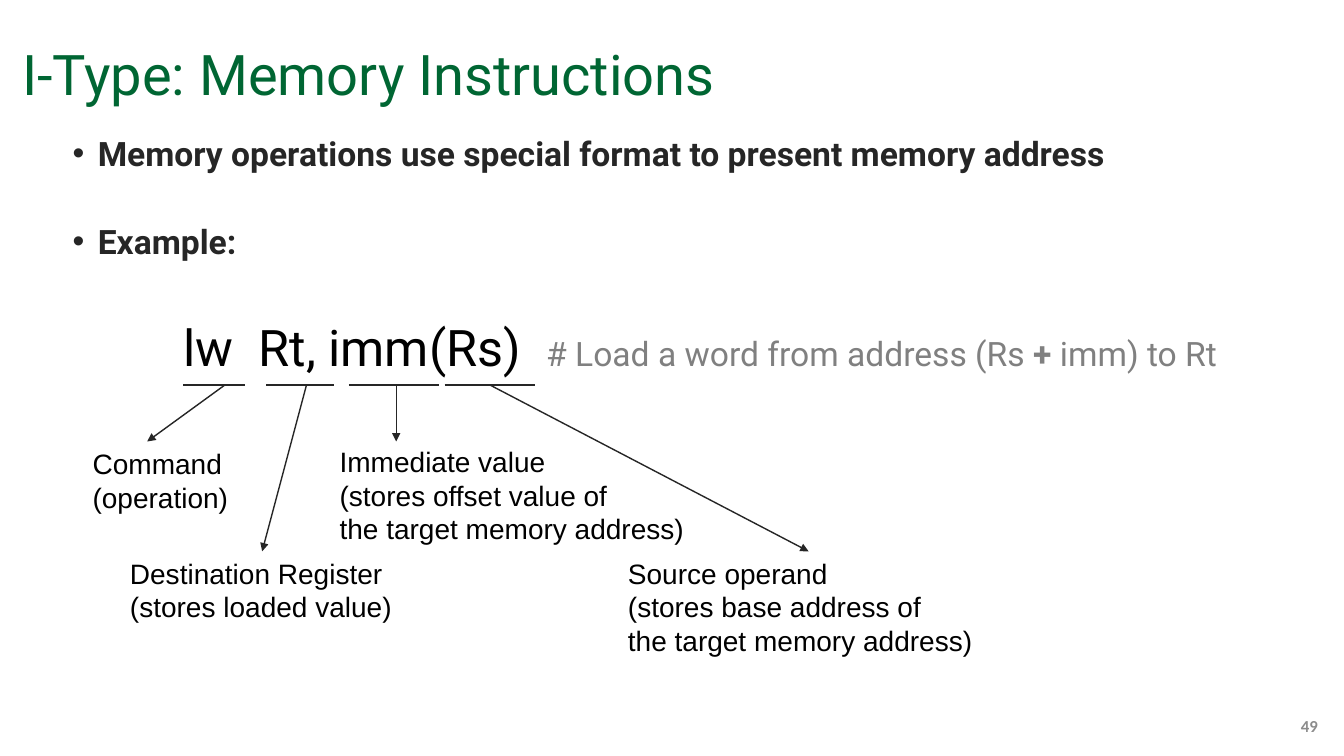
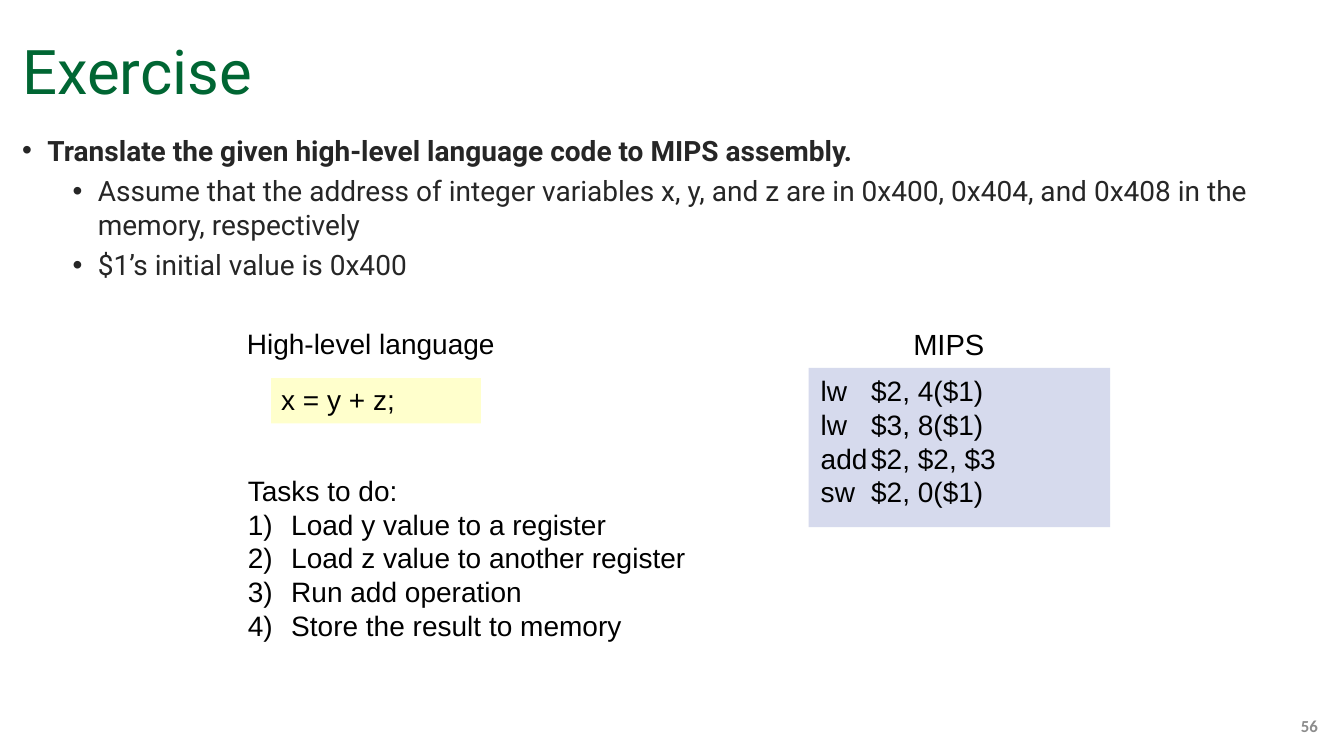
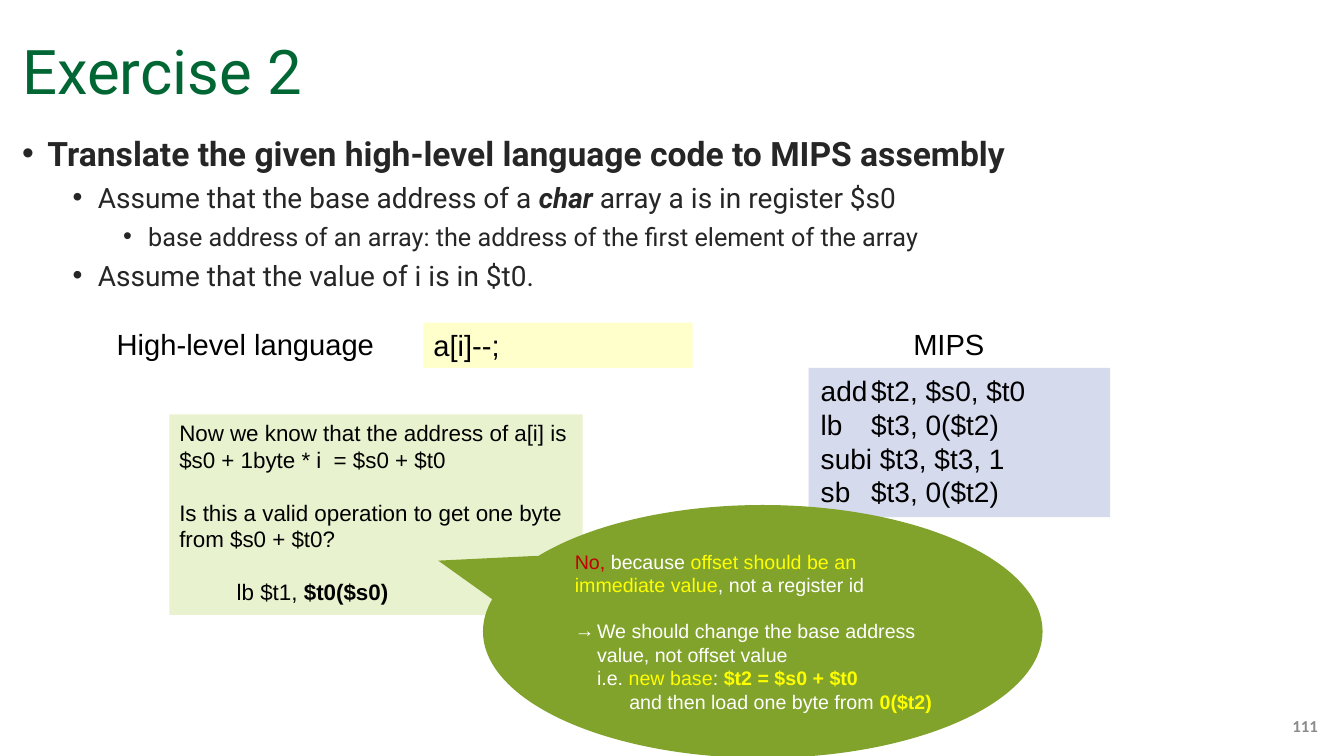
"""Build three lecture slides on MIPS memory instructions."""
from dataclasses import dataclass
from typing import Optional

import lxml.etree
import pptx
import pptx.dml.color
import pptx.enum.shapes
import pptx.enum.text
import pptx.oxml.ns
import pptx.util

qn = pptx.oxml.ns.qn
Shapes = pptx.enum.shapes.MSO_SHAPE
Anchor = pptx.enum.text.MSO_ANCHOR
Align = pptx.enum.text.PP_ALIGN


@dataclass(frozen=True)
class Theme:
    """Colours, fonts, type sizes and grid cell of the deck."""
    title: str = "006633"
    body: str = "262626"
    black: str = "000000"
    white: str = "FFFFFF"
    comment: str = "808080"
    number: str = "8C8C8C"
    source_fill: str = "FFFFCC"
    assembly_fill: str = "D6DAED"
    hint_fill: str = "E8F2CF"
    answer_fill: str = "81A32B"
    accent: str = "FFFF00"
    wrong: str = "C00000"
    heading_font: str = "Roboto"
    label_font: str = "Arial"
    number_font: str = "Calibri"
    huge: float = 44
    title_small: float = 40
    instruction: float = 36
    large: float = 24
    heading: float = 20.8
    normal: float = 20
    small: float = 18
    hint: float = 16
    answer: float = 14
    page: float = 12
    cell: float = 0.1
    tab: float = 0.57


THEME = Theme()


@dataclass(frozen=True)
class Box:
    """Place on the slide in grid columns and rows."""
    col: float
    row: float
    cols: float
    rows: float


@dataclass(frozen=True)
class Style:
    """Type setting that a paragraph or run can carry."""
    size: float = THEME.normal
    color: str = THEME.black
    font: str = THEME.label_font
    bold: bool = False
    italic: bool = False


@dataclass(frozen=True)
class Span:
    """Piece of text with its own style."""
    text: str
    style: Style


@dataclass(frozen=True)
class Para:
    """Paragraph with indents in inches and spacing in points."""
    spans: tuple[Span, ...]
    margin: float = 0
    hanging: float = 0
    before: float = 0
    level: int = 0
    bullet: str = ""
    numbered: bool = False
    tabbed: bool = False
    align: Align = Align.LEFT
    leading: float = 1.0


@dataclass(frozen=True)
class Operand:
    """Underlined part of the instruction with its arrow and label."""
    start: float
    end: float
    arrow_from: float
    arrow_to: float
    arrow_row: float
    label: Box
    lines: tuple[str, ...]


TITLE_BOX = Box(1.2, 1.7, 130.5, 9.5)
BODY_BOX = Box(1.2, 12.7, 130.5, 56.3)
NUMBER_BOX = Box(101.7, 70, 30, 4)
MIPS_BOX = Box(89.6, 31.9, 10, 4.5)
UNDERLINE_ROW = 38.2
UPPER_ROW, LOWER_ROW = 43.8, 54.7

OPERANDS = (
    Operand(18.2, 24.3, 22.3, 14.6, UPPER_ROW, Box(8.2, 43.8, 16, 8),
            ("Command", "(operation)")),
    Operand(26.4, 33.1, 30.4, 26, LOWER_ROW, Box(11.9, LOWER_ROW, 29.1, 8),
            ("Destination Register", "(stores loaded value)")),
    Operand(34.6, 43.5, 39.3, 39.3, UPPER_ROW, Box(32.7, 43.6, 37.7, 11.5),
            ("Immediate value", "(stores offset value of", "the target memory address)")),
    Operand(44.1, 53.1, 48.6, 80.2, LOWER_ROW, Box(61.3, LOWER_ROW, 37.7, 11.5),
            ("Source operand", "(stores base address of", "the target memory address)")),
)


def grid(cells: float) -> pptx.util.Emu:
    """Turn grid cells into a length."""
    return pptx.util.Inches(cells * THEME.cell)


def rgb(color: str) -> pptx.dml.color.RGBColor:
    """Turn a hex string into a colour."""
    return pptx.dml.color.RGBColor.from_string(color)


def edges(box: Box) -> tuple[pptx.util.Emu, ...]:
    """Give left, top, width and height of a box."""
    return grid(box.col), grid(box.row), grid(box.cols), grid(box.rows)


def plain(text: str, style: Style = Style(), **layout) -> Para:
    """Make a paragraph of a single span."""
    return Para((Span(text, style),), **layout)


def item(level: int, *spans: Span, before: Optional[float] = None) -> Para:
    """Make a bulleted body paragraph."""
    gap = (5 if level else 10) if before is None else before
    return Para(spans, 0.25 + 0.5 * level, 0.25, gap, level, "•")


def body_style(size: float, bold: bool = False, italic: bool = False) -> Style:
    """Give the style of body text."""
    return Style(size, THEME.body, THEME.heading_font, bold, italic)


def write_paragraph(paragraph, para: Para) -> None:
    """Set layout, bullet, tab stop and runs of one paragraph."""
    paragraph.level = para.level
    props = paragraph._p.get_or_add_pPr()
    props.set("marL", str(pptx.util.Inches(para.margin)))
    props.set("indent", str(-pptx.util.Inches(para.hanging)))
    if para.numbered:
        lxml.etree.SubElement(props, qn("a:buAutoNum"), type="arabicParenR")
    elif para.bullet:
        lxml.etree.SubElement(props, qn("a:buFont"), typeface=THEME.label_font)
        lxml.etree.SubElement(props, qn("a:buChar"), char=para.bullet)
    else:
        lxml.etree.SubElement(props, qn("a:buNone"))
    if para.tabbed:
        stops = lxml.etree.SubElement(props, qn("a:tabLst"))
        lxml.etree.SubElement(stops, qn("a:tab"), algn="l",
                              pos=str(pptx.util.Inches(THEME.tab)))
    paragraph.alignment = para.align
    paragraph.line_spacing = para.leading
    paragraph.space_before = pptx.util.Pt(para.before)
    paragraph.space_after = pptx.util.Pt(0)
    for span in para.spans:
        run = paragraph.add_run()
        run.text = span.text
        font = run.font
        font.name, font.size = span.style.font, pptx.util.Pt(span.style.size)
        font.bold, font.italic = span.style.bold, span.style.italic
        font.color.rgb = rgb(span.style.color)


def write(frame, paras: list[Para], anchor: Anchor = Anchor.TOP,
          inset: tuple[float, float] = (0.1, 0.05)) -> None:
    """Fill a text frame with paragraphs."""
    frame.word_wrap = True
    frame.auto_size = pptx.enum.text.MSO_AUTO_SIZE.NONE
    frame.vertical_anchor = anchor
    frame.margin_left = frame.margin_right = pptx.util.Inches(inset[0])
    frame.margin_top = frame.margin_bottom = pptx.util.Inches(inset[1])
    for index, para in enumerate(paras):
        paragraph = frame.add_paragraph() if index else frame.paragraphs[0]
        write_paragraph(paragraph, para)
    frame.paragraphs[0].space_before = pptx.util.Pt(0)


def add_label(slide, box: Box, paras: list[Para], anchor: Anchor = Anchor.TOP) -> None:
    """Add a text box."""
    write(slide.shapes.add_textbox(*edges(box)).text_frame, paras, anchor)


def add_panel(slide, box: Box, fill: str, paras: list[Para], kind: Shapes = Shapes.RECTANGLE,
              anchor: Anchor = Anchor.TOP, inset: tuple[float, float] = (0.1, 0.05)):
    """Add a filled shape with text and without outline."""
    panel = slide.shapes.add_shape(kind, *edges(box))
    panel.shadow.inherit = False
    panel.fill.solid()
    panel.fill.fore_color.rgb = rgb(fill)
    panel.line.fill.background()
    write(panel.text_frame, paras, anchor, inset)
    return panel


def add_rule(slide, start: tuple[float, float], end: tuple[float, float],
             arrow: bool = False) -> None:
    """Draw a thin line, optionally with an arrowhead at its end."""
    rule = slide.shapes.add_connector(
        pptx.enum.shapes.MSO_CONNECTOR.STRAIGHT, *map(grid, start + end))
    rule.line.color.rgb = rgb(THEME.body)
    rule.line.width = pptx.util.Pt(1)
    if arrow:
        lxml.etree.SubElement(rule.line._get_or_add_ln(), qn("a:tailEnd"), type="triangle")
    lxml.etree.SubElement(rule._element.spPr, qn("a:effectLst"))


def add_assembly(slide, rows: float, lines: tuple[str, ...]) -> None:
    """Add the MIPS heading and its code panel."""
    add_panel(slide, Box(80.2, 36.5, 29.9, rows), THEME.assembly_fill,
              [plain(line, tabbed=True) for line in lines], inset=(0.12, 0.06))
    add_label(slide, MIPS_BOX, [plain("MIPS", Style(THEME.heading))])


def add_page(deck, title: str, number: str, body: list[Para], size: float = THEME.huge):
    """Add a slide with title, body and page number."""
    slide = deck.slides.add_slide(deck.slide_layouts[1])
    heading, content = slide.placeholders
    for holder, box in ((heading, TITLE_BOX), (content, BODY_BOX)):
        holder.left, holder.top, holder.width, holder.height = edges(box)
    title_style = Style(size, THEME.title, THEME.heading_font)
    write(heading.text_frame, [plain(title, title_style, leading=0.9)], Anchor.BOTTOM)
    write(content.text_frame, body)
    number_style = Style(THEME.page, THEME.number, THEME.number_font, True)
    add_label(slide, NUMBER_BOX, [plain(number, number_style, align=Align.RIGHT)], Anchor.MIDDLE)
    return slide


def build_memory(deck) -> None:
    """Build the slide on the memory instruction format."""
    strong = body_style(THEME.large, True)
    code = Style(THEME.instruction, THEME.black, THEME.heading_font)
    note = Style(THEME.large, THEME.comment, THEME.heading_font)
    plus = Style(THEME.large, THEME.comment, THEME.heading_font, True)
    instruction = Para((
        Span("lw  Rt, imm(Rs)  ", code), Span("# Load a word from address (Rs ", note),
        Span("+ ", plus), Span("imm) to Rt", note)), margin=1.6, before=39, level=1)
    slide = add_page(deck, "I-Type: Memory Instructions", "49", [
        item(1, Span("Memory operations use special format to present memory address", strong)),
        item(1, Span("Example:", strong), before=34),
        instruction], THEME.title_small)
    for part in OPERANDS:
        add_rule(slide, (part.start, UNDERLINE_ROW), (part.end, UNDERLINE_ROW))
        add_rule(slide, (part.arrow_from, UNDERLINE_ROW), (part.arrow_to, part.arrow_row), True)
        add_label(slide, part.label, [plain(line) for line in part.lines])


def build_exercise(deck) -> None:
    """Build the first exercise slide."""
    normal = body_style(THEME.normal)
    slide = add_page(deck, "Exercise", "56", [
        item(0, Span("Translate the given high-level language code to MIPS assembly.",
                     body_style(THEME.normal, True))),
        item(1, Span("Assume that the address of integer variables x, y, and z are in 0x400, "
                     "0x404, and 0x408 in the memory, respectively", normal)),
        item(1, Span("$1’s initial value is 0x400", normal))])
    add_panel(slide, Box(26.9, 37.5, 20.8, 4.5), THEME.source_fill, [plain("x = y + z;")])
    add_assembly(slide, 15.8, ("lw\t$2, 4($1)", "lw\t$3, 8($1)", "add\t$2, $2, $3",
                               "sw\t$2, 0($1)"))
    add_label(slide, Box(23.5, 31.9, 30, 4.5), [plain("High-level language")])
    tasks = ("Load y value to a register", "Load z value to another register",
             "Run add operation", "Store the result to memory")
    add_label(slide, Box(23.6, 46.5, 54.5, 18.5), [
        plain("Tasks to do:"),
        *(plain(task, margin=0.43, hanging=0.43, numbered=True) for task in tasks)])


def build_exercise_two(deck) -> None:
    """Build the second exercise slide."""
    normal = body_style(THEME.normal)
    slide = add_page(deck, "Exercise 2", "111", [
        item(0, Span("Translate the given high-level language code to MIPS assembly",
                     body_style(THEME.large, True))),
        item(1, Span("Assume that the base address of a ", normal),
             Span("char", body_style(THEME.normal, True, True)),
             Span(" array a is in register $s0", normal)),
        item(2, Span("base address of an array: the address of the first element of the array",
                     body_style(THEME.small))),
        item(1, Span("Assume that the value of i is in $t0.", normal))])
    heading = Style(THEME.heading)
    add_panel(slide, Box(42, 32, 26.7, 4.5), THEME.source_fill, [plain("a[i]--;", heading)])
    add_assembly(slide, 14.8, ("add\t$t2, $s0, $t0", "lb\t$t3, 0($t2)", "subi $t3, $t3, 1",
                               "sb\t$t3, 0($t2)"))
    add_label(slide, Box(10.6, 31.9, 30, 4.5), [plain("High-level language", heading)])
    hint = Style(THEME.hint)
    add_panel(slide, Box(16.8, 41.1, 41, 19.9), THEME.hint_fill, [
        plain("Now we know that the address of a[i] is $s0 + 1byte * i  = $s0 + $t0", hint),
        plain("Is this a valid operation to get one byte from $s0 + $t0?", hint, before=18.4),
        Para((Span("lb $t1, ", hint), Span("$t0($s0)", Style(THEME.hint, bold=True))),
             margin=THEME.tab, before=18.4)])
    white = Style(THEME.answer, THEME.white)
    accent = Style(THEME.answer, THEME.accent)
    strong = Style(THEME.answer, THEME.accent, bold=True)
    answer = add_panel(slide, Box(47.9, 50.1, 55.5, 25.1), THEME.answer_fill, [
        Para((Span("No, ", Style(THEME.answer, THEME.wrong)), Span("because ", white),
              Span("offset should be an immediate value", accent),
              Span(", not a register id", white))),
        plain("We should change the base address value, not offset value", white,
              margin=0.22, hanging=0.22, before=16, bullet="→"),
        Para((Span("i.e. ", white), Span("new base", accent), Span(": ", white),
              Span("$t2 = $s0 + $t0", strong)), margin=0.22),
        Para((Span("and then load one byte from ", white), Span("0($t2)", strong)), margin=0.54),
    ], Shapes.OVAL_CALLOUT, Anchor.MIDDLE)
    answer.adjustments[0], answer.adjustments[1] = -0.58, -0.28


def main() -> None:
    """Build and save the deck."""
    deck = pptx.Presentation()
    deck.slide_width, deck.slide_height = pptx.util.Inches(13.33), pptx.util.Inches(7.5)
    build_memory(deck)
    build_exercise(deck)
    build_exercise_two(deck)
    deck.save("out.pptx")


if __name__ == "__main__":
    main()
